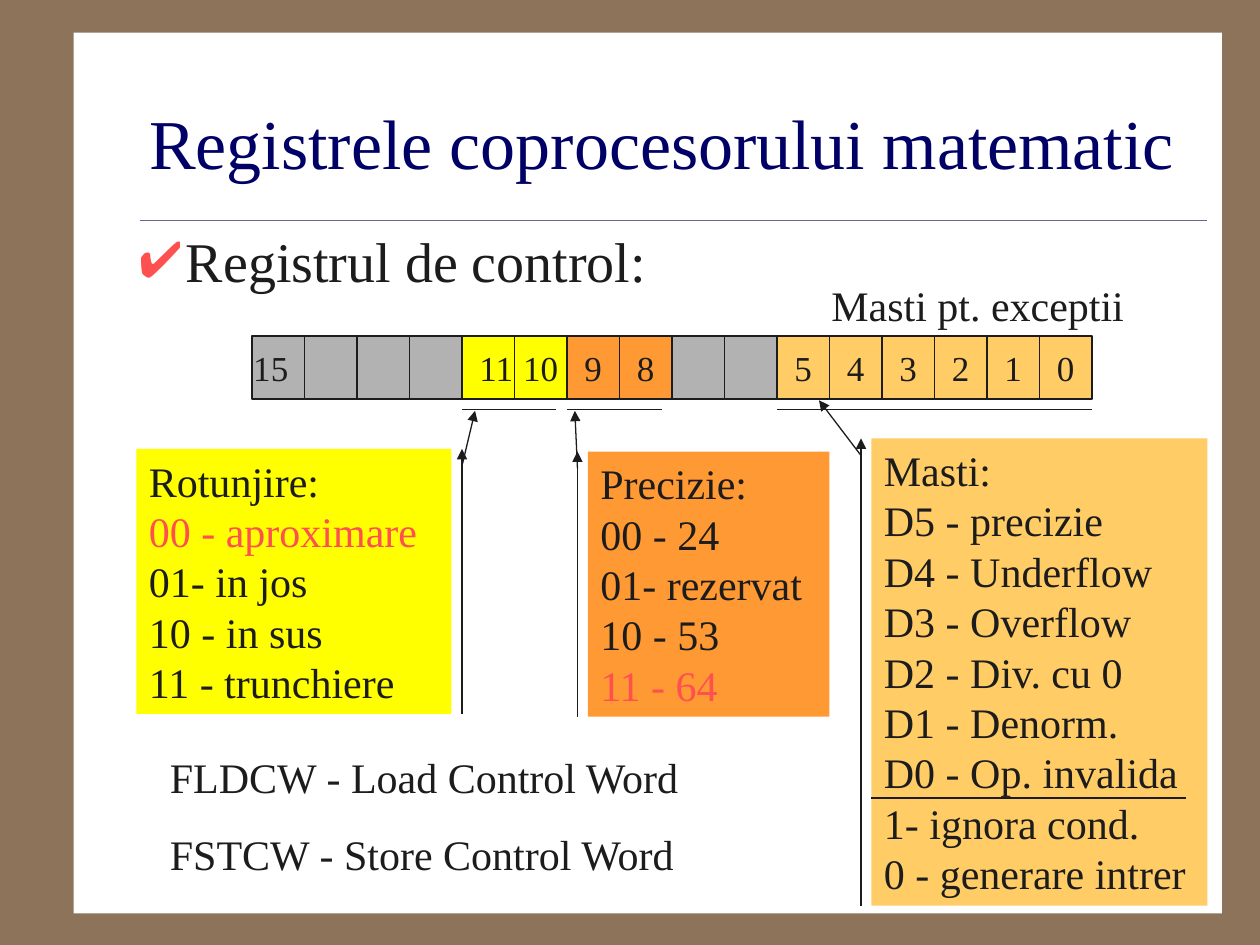
import dataclasses

import pptx
import pptx.dml.color
import pptx.enum.shapes
import pptx.enum.text
import pptx.oxml.ns
import pptx.util
from lxml import etree

PX = 9525  # EMU in one px, 96 px to the inch
ALIGN = pptx.enum.text.PP_ALIGN
ANCHOR = pptx.enum.text.MSO_ANCHOR
RECT = pptx.enum.shapes.MSO_SHAPE.RECTANGLE


@dataclasses.dataclass(frozen=True)
class Theme:
    font: str = "Times New Roman"
    frame: str = "8C735A"
    panel: str = "FFFFFF"
    title: str = "000066"
    rule: str = "666699"
    ink: str = "1C1C1C"
    accent: str = "FF5050"
    unused: str = "B2B2B2"
    rounding: str = "FFFF00"
    precision: str = "FF9933"
    masks: str = "FFCC66"
    title_size: int = 40
    body_size: int = 32
    note_size: int = 24
    bit_size: int = 20
    line: float = 0.75
    hairline: float = 0.25


T = Theme()


def rgb(value):
    return pptx.dml.color.RGBColor.from_string(value)


def px(*values):
    return [pptx.util.Emu(v * PX) for v in values]


def sub(parent, tag, **attrs):
    return etree.SubElement(parent, pptx.oxml.ns.qn(tag), attrs)


def add_run(p, text, size, color=T.ink):
    r = p.add_run()
    r.text = text
    r.font.name = T.font
    r.font.size = pptx.util.Pt(size)
    r.font.color.rgb = rgb(color)


def add_box(s, box, fill, line=None):
    sp = s.shapes.add_shape(RECT, *px(*box))
    sp.shadow.inherit = False
    sp.fill.solid()
    sp.fill.fore_color.rgb = rgb(fill)
    if line:
        sp.line.color.rgb = rgb(line)
        sp.line.width = pptx.util.Pt(T.line)
    else:
        sp.line.fill.background()
    return sp


def add_line(s, start, end, color=T.ink, width=T.line, arrow=False):
    """Draw a line; an arrow has its head at the start."""
    c = s.shapes.add_connector(
        pptx.enum.shapes.MSO_CONNECTOR.STRAIGHT, *px(*start, *end))
    c.line.color.rgb = rgb(color)
    c.line.width = pptx.util.Pt(width)
    if arrow:
        sub(c.line._get_or_add_ln(), "a:headEnd", type="triangle")
    sub(c.element.spPr, "a:effectLst")
    return c


def write_lines(tf, lines, gap=0, marked=None):
    """Fill a text frame, one paragraph a line, with the marked line in the accent colour."""
    tf.word_wrap = True
    tf.vertical_anchor = ANCHOR.TOP
    for i, text in enumerate(lines):
        p = tf.add_paragraph() if i else tf.paragraphs[0]
        p.alignment = ALIGN.LEFT
        p.space_before = pptx.util.Pt(gap if i else 0)
        add_run(p, text, T.note_size, T.accent if i == marked else T.ink)


def add_note(s, box, lines, gap=0):
    write_lines(s.shapes.add_textbox(*px(*box)).text_frame, lines, gap)


def add_backdrop(s):
    s.background.fill.solid()
    s.background.fill.fore_color.rgb = rgb(T.frame)
    panel = add_box(s, (56, 25, 875, 671), T.panel)
    rule = add_line(s, (107, 168), (920, 168), T.rule, T.hairline)
    for part in (panel, rule):
        s.shapes.title.element.addprevious(part.element)


def place(sp, box):
    sp.left, sp.top, sp.width, sp.height = px(*box)
    return sp.text_frame


def fill_title(s, box, text):
    tf = place(s.shapes.title, box)
    tf.vertical_anchor = ANCHOR.MIDDLE
    p = tf.paragraphs[0]
    p.alignment = ALIGN.LEFT
    add_run(p, text, T.title_size, T.title)


def fill_body(s, box, text):
    p = place(s.placeholders[1], box).paragraphs[0]
    p.space_before = pptx.util.Pt(0)
    pPr = p._p.get_or_add_pPr()
    pPr.set("marL", str(36 * PX))
    pPr.set("indent", str(-36 * PX))
    sub(sub(pPr, "a:buClr"), "a:srgbClr", val=T.accent)
    sub(pPr, "a:buSzPct", val="90000")
    sub(pPr, "a:buFont", typeface=T.font)
    sub(pPr, "a:buChar", char="✔")
    add_run(p, text, T.body_size)


def add_register(s, left, top, cell, height, fields):
    """Draw the bits from high to low; a field is (bit labels, fill, underline length)."""
    x = left
    for labels, fill, underline in fields:
        if underline:
            y = top + height + 8
            add_line(s, (x, y), (x + underline, y))
        for label in labels:
            tf = add_box(s, (x, top, cell, height), fill, T.ink).text_frame
            tf.margin_left = tf.margin_right = px(1)[0]
            tf.vertical_anchor = ANCHOR.MIDDLE
            if label:
                p = tf.paragraphs[0]
                p.alignment = {"15": ALIGN.LEFT, "11": ALIGN.RIGHT}.get(label, ALIGN.CENTER)
                add_run(p, label, T.bit_size)
            x += cell


def add_callout(s, box, fill, tip, lines, marked=None, bar_right=False):
    """Draw a filled note with a bar beside it and an arrow from the bar to the tip."""
    left, top, width, height = box
    write_lines(add_box(s, box, fill).text_frame, lines, marked=marked)
    bar = left + width + 8 if bar_right else left - 8
    add_line(s, tip, (bar, top + 13), arrow=True)
    add_line(s, (bar, top), (bar, top + height), arrow=True)


def main():
    prs = pptx.Presentation()
    prs.slide_width, prs.slide_height = px(960, 720)
    s = prs.slides.add_slide(prs.slide_layouts[1])

    add_backdrop(s)
    fill_title(s, (104, 48, 816, 120), "Registrele coprocesorului matematic")
    fill_body(s, (96, 168, 816, 512), "Registrul de control:")
    add_register(s, 192, 256, 40, 48, [
        (["15", "", "", ""], T.unused, 0),
        (["11", "10"], T.rounding, 72),
        (["9", "8"], T.precision, 72),
        (["", ""], T.unused, 0),
        (["5", "4", "3", "2", "1", "0"], T.masks, 240),
    ])
    add_note(s, (624, 208, 256, 48), ["Masti pt. exceptii"])
    add_callout(s, (104, 342, 240, 202), T.rounding, (362, 313), [
        "Rotunjire:", "00 - aproximare", "01- in jos", "10 - in sus",
        "11 - trunchiere"], marked=1, bar_right=True)
    add_callout(s, (448, 344, 184, 202), T.precision, (438, 313), [
        "Precizie:", "00 - 24", "01- rezervat", "10 - 53", "11 - 64"], marked=4)
    add_callout(s, (664, 334, 256, 356), T.masks, (624, 305), [
        "Masti:", "D5 - precizie", "D4 - Underflow", "D3 - Overflow",
        "D2 - Div. cu 0", "D1 - Denorm.", "D0 - Op. invalida",
        "1- ignora cond.", "0 - generare intrer"])
    add_line(s, (664, 608), (904, 608))
    add_note(s, (120, 568, 448, 107), [
        "FLDCW - Load Control Word", "FSTCW - Store Control Word"], gap=15)

    prs.save("out.pptx")


if __name__ == "__main__":
    main()
